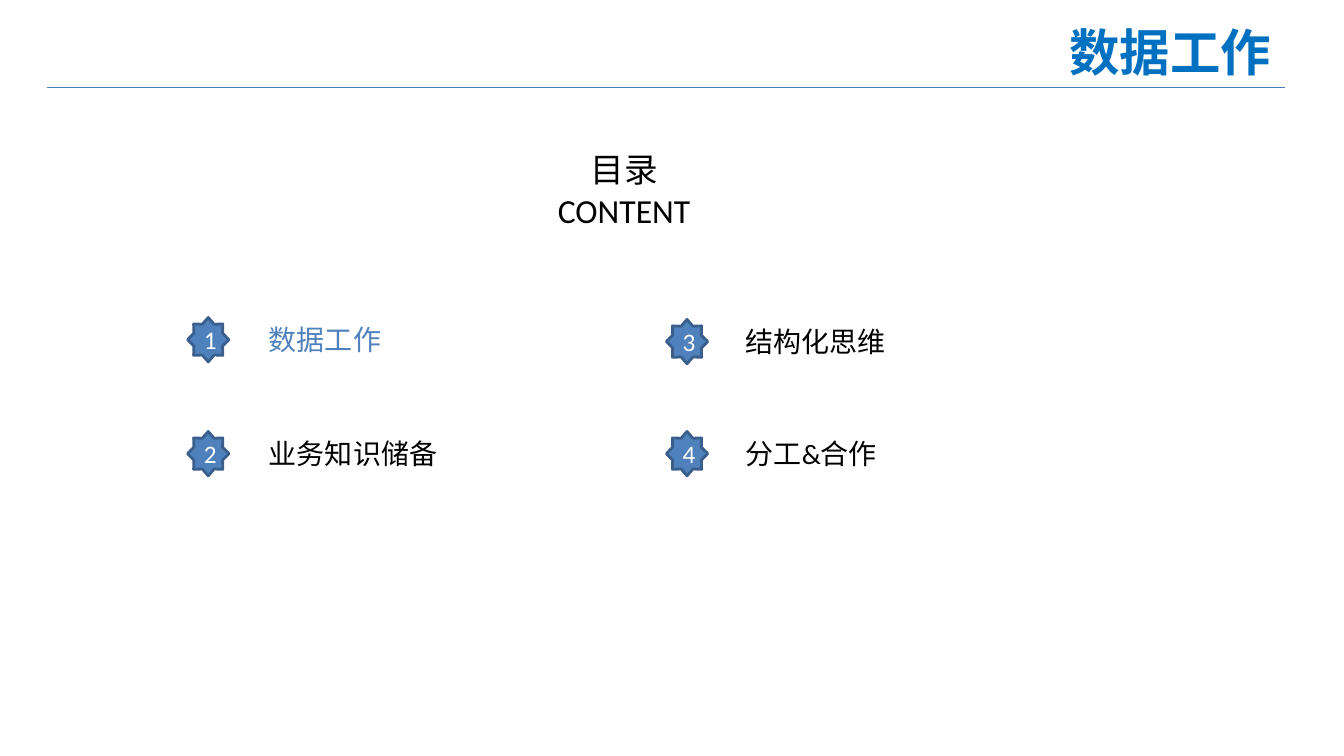
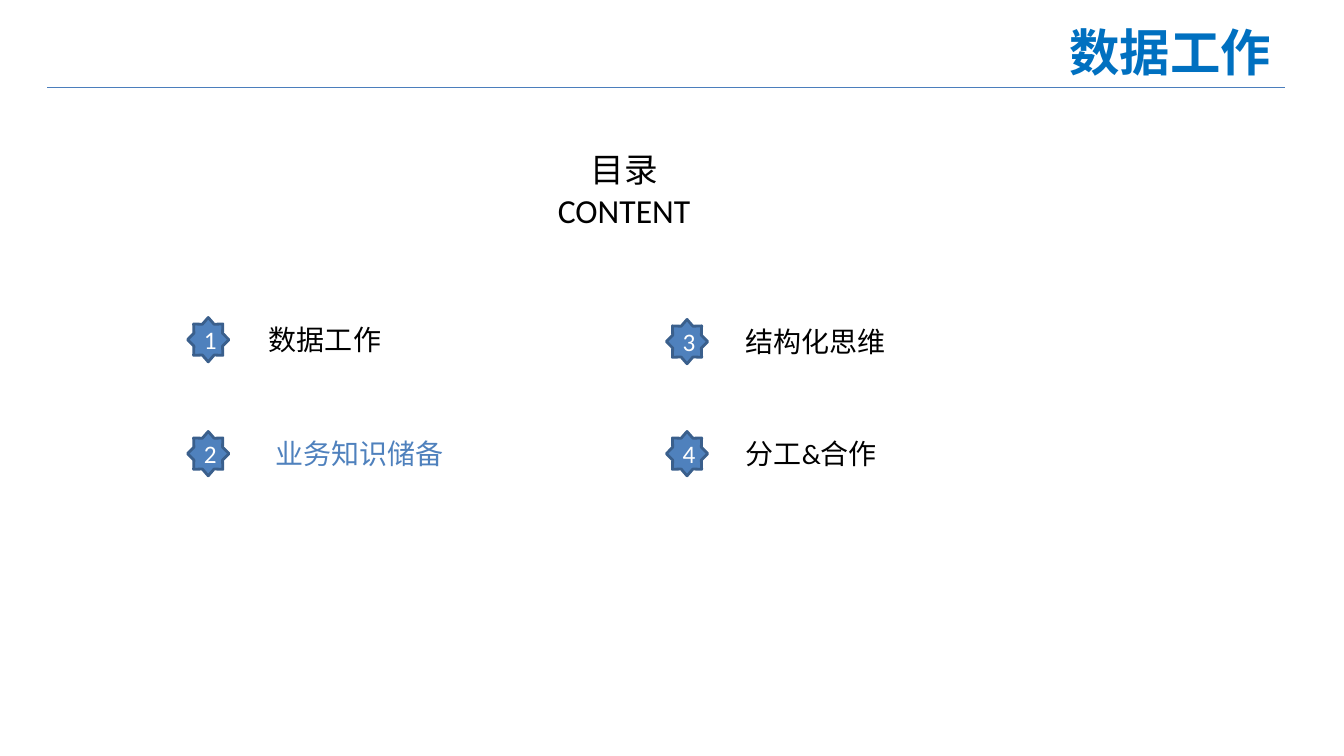
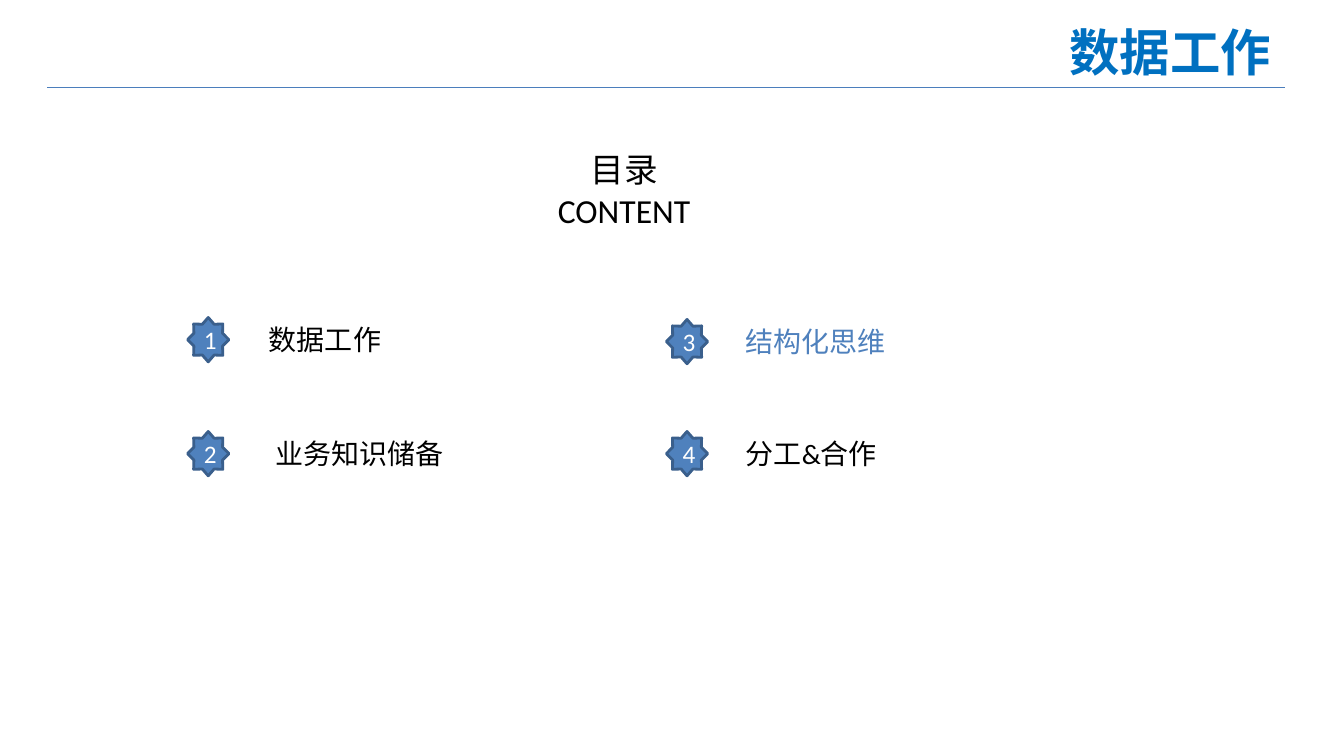
from pptx import Presentation
from pptx.dml.color import RGBColor
from pptx.enum.shapes import MSO_CONNECTOR as Connector, MSO_SHAPE as Shape
from pptx.enum.text import MSO_ANCHOR as Anchor, MSO_AUTO_SIZE as AutoSize, PP_ALIGN as Align
from pptx.oxml.ns import qn
from pptx.util import Pt
from lxml.etree import SubElement


def color(value):
    return RGBColor.from_string(value)


class Deck:
    TITLE_FONT = "Noto Sans CJK SC"
    BODY_FONT = "Calibri"
    TITLE_BLUE = "0070C0"
    RULE_BLUE = "4B7EBC"
    ACCENT = "4F81BD"
    OUTLINE = "3A5F8C"
    BLACK = "000000"
    WHITE = "FFFFFF"

    def __init__(self):
        self.presentation = Presentation()
        self.presentation.slide_width = Pt(960)
        self.presentation.slide_height = Pt(540)
        self.slide = None

    def new_slide(self, title):
        self.slide = self.presentation.slides.add_slide(self.presentation.slide_layouts[5])
        self.rule(33.8, 918, 62.6)
        shape = self.slide.shapes.title
        shape.left, shape.top, shape.width, shape.height = Pt(547.2), Pt(11.5), Pt(368), Pt(51)
        self.fill_text(shape.text_frame, title, 36, self.TITLE_BLUE, Align.RIGHT, self.TITLE_FONT, True)

    def fill_text(self, frame, text, size, hex_color, align=Align.LEFT, font=BODY_FONT, bold=False,
                  anchor=Anchor.TOP, auto_size=AutoSize.SHAPE_TO_FIT_TEXT):
        frame.text = text
        frame.word_wrap = True
        frame.auto_size = auto_size
        frame.vertical_anchor = anchor
        for paragraph in frame.paragraphs:
            paragraph.alignment = align
            paragraph.font.name = font
            paragraph.font.size = Pt(size)
            paragraph.font.bold = bold
            paragraph.font.color.rgb = color(hex_color)
            properties = paragraph.font._element
            SubElement(properties, qn("a:ea")).set("typeface", font)

    def rule(self, left, right, y):
        line = self.slide.shapes.add_connector(Connector.STRAIGHT, Pt(left), Pt(y), Pt(right), Pt(y))
        line.line.color.rgb = color(self.RULE_BLUE)
        line.line.width = Pt(0.75)
        SubElement(line._element.spPr, qn("a:effectLst"))

    def text(self, left, top, width, height, text, size, hex_color=BLACK, align=Align.LEFT, indent=0):
        box = self.slide.shapes.add_textbox(Pt(left), Pt(top), Pt(width), Pt(height))
        self.fill_text(box.text_frame, text, size, hex_color, align)
        box.text_frame.margin_left = Pt(7.2 + indent)

    def badge(self, left, top, number):
        star = self.slide.shapes.add_shape(Shape.STAR_8_POINT, Pt(left), Pt(top), Pt(29.5), Pt(31.7))
        star.shadow.inherit = False
        star.fill.solid()
        star.fill.fore_color.rgb = color(self.ACCENT)
        star.line.color.rgb = color(self.OUTLINE)
        star.line.width = Pt(2)
        self.fill_text(star.text_frame, str(number), 18, self.WHITE, Align.CENTER,
                       anchor=Anchor.MIDDLE, auto_size=AutoSize.NONE)

    def contents(self, topics, current, indents):
        self.text(255, 103, 381.6, 65.5, "目录\nCONTENT", 24, align=Align.CENTER)
        columns = [(134, 185, 218, 226.8), (476, 525.6, 115.2, 228.2)]
        for index, topic in enumerate(topics):
            column, row = divmod(index, 2)
            badge_left, text_left, width, first_top = columns[column]
            top = 308.2 if row else first_top
            number = index + 1
            hex_color = self.ACCENT if number == current else self.BLACK
            self.text(text_left, top, width, 31.7, topic, 20, hex_color, indent=indents.get(number, 0))
            self.badge(badge_left, top, number)


def main():
    deck = Deck()
    topics = ["数据工作", "业务知识储备", "结构化思维", "分工&合作"]
    for current, indents in [(1, {}), (2, {2: 4.5}), (3, {2: 4.5})]:
        deck.new_slide("数据工作")
        deck.contents(topics, current, indents)
    deck.presentation.save("out.pptx")


if __name__ == "__main__":
    main()
